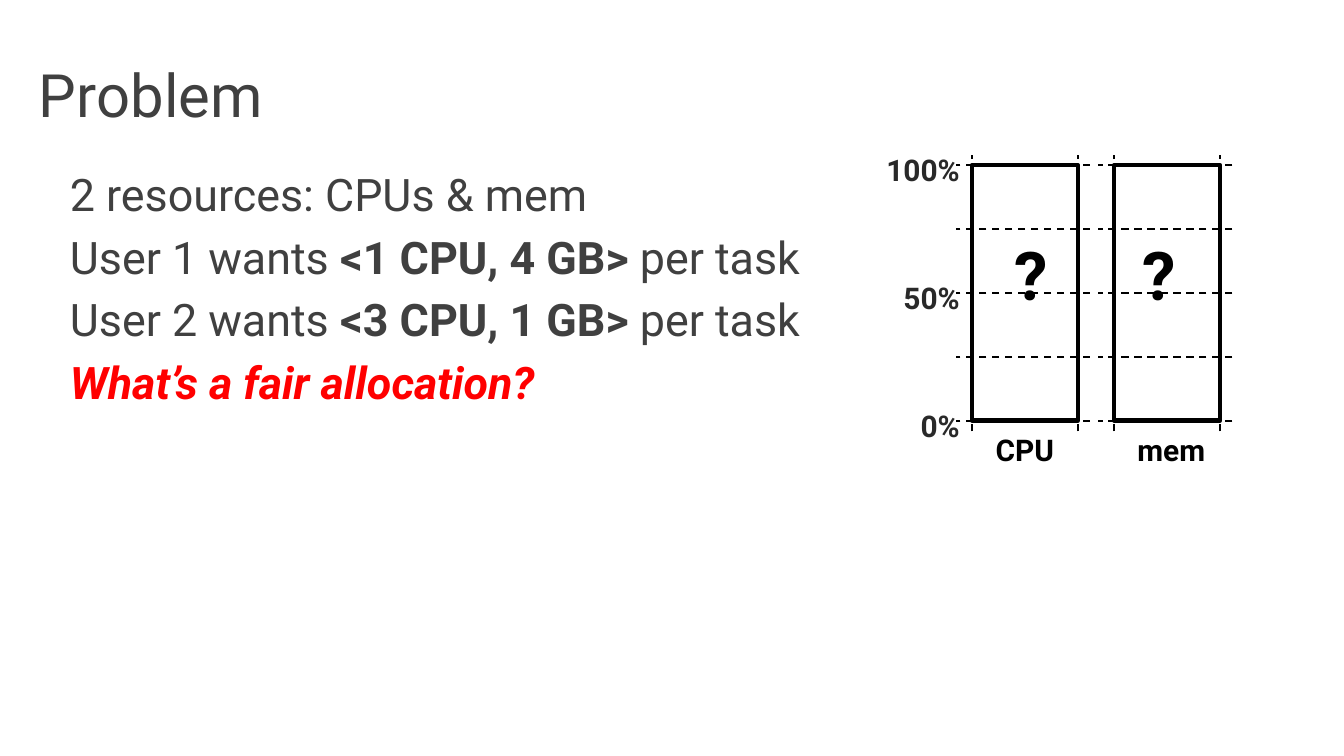
from pptx import Presentation
from pptx import util as u
from pptx.dml.color import RGBColor
from pptx.enum import dml, shapes, text
from pptx.oxml import ns
from lxml import etree

FONT = "Roboto"
BLACK = RGBColor(0x00, 0x00, 0x00)
WHITE = RGBColor(0xFF, 0xFF, 0xFF)
BODY_GREY = RGBColor(0x40, 0x40, 0x40)
LABEL_GREY = RGBColor(0x29, 0x29, 0x29)
RED = RGBColor(0xFF, 0x00, 0x00)

LEFT, CENTER, RIGHT = text.PP_ALIGN.LEFT, text.PP_ALIGN.CENTER, text.PP_ALIGN.RIGHT


def write(paragraph, content, size=16, color=BLACK, bold=False, italic=False, align=LEFT):
    paragraph.alignment = align
    run = paragraph.add_run()
    run.text = content
    font = run.font
    font.name, font.size, font.bold, font.italic = FONT, u.Pt(size), bold, italic
    font.color.rgb = color


def place(part, left, top, width, height):
    part.left, part.top = u.Inches(left), u.Inches(top)
    part.width, part.height = u.Inches(width), u.Inches(height)


def add_label(slide, content, left, top, width, height, **style):
    frame = slide.shapes.add_textbox(
        u.Inches(left), u.Inches(top), u.Inches(width), u.Inches(height)).text_frame
    frame.word_wrap = True
    frame.margin_left = frame.margin_right = frame.margin_top = frame.margin_bottom = 0
    frame.vertical_anchor = text.MSO_ANCHOR.MIDDLE
    write(frame.paragraphs[0], content, bold=True, **style)
    return frame.paragraphs[0]


def add_dashed_line(slide, x1, y1, x2, y2):
    line = slide.shapes.add_connector(
        shapes.MSO_CONNECTOR.STRAIGHT,
        u.Inches(x1), u.Inches(y1), u.Inches(x2), u.Inches(y2))
    line.line.color.rgb = BLACK
    line.line.width = u.Pt(1)
    line.line.dash_style = dml.MSO_LINE.DASH
    etree.SubElement(line._element.spPr, ns.qn("a:effectLst"))


def add_title(slide, content, left, top, width, height):
    title = slide.shapes.title
    place(title, left, top, width, height)
    title.text_frame.vertical_anchor = text.MSO_ANCHOR.MIDDLE
    write(title.text_frame.paragraphs[0], content, size=32, color=BODY_GREY)


def add_statements(slide, statements, left, top, width, height):
    body = slide.placeholders[1]
    place(body, left, top, width, height)
    frame = body.text_frame
    frame.auto_size = text.MSO_AUTO_SIZE.NONE
    for index, statement in enumerate(statements):
        paragraph = frame.add_paragraph() if index else frame.paragraphs[0]
        paragraph.space_before = u.Pt(4.8)
        properties = paragraph._p.get_or_add_pPr()
        properties.set("marL", "0")
        properties.set("indent", "0")
        etree.SubElement(properties, ns.qn("a:buNone"))
        for content, style in statement:
            write(paragraph, content, **{"size": 24, "color": BODY_GREY, **style})


def add_resource_bar(slide, name, left, top, width, height, name_shift):
    overhang, tick = 0.12, 0.08
    right, bottom = left + width, top + height
    add_label(slide, name, left + name_shift, bottom + 0.08, width, 0.27, align=CENTER)
    bar = slide.shapes.add_shape(
        shapes.MSO_SHAPE.RECTANGLE,
        u.Inches(left), u.Inches(top), u.Inches(width), u.Inches(height))
    bar.shadow.inherit = False
    bar.fill.solid()
    bar.fill.fore_color.rgb = WHITE
    bar.line.color.rgb = BLACK
    bar.line.width = u.Pt(2.25)
    for quarter in range(5):
        y = top + height * quarter / 4
        add_dashed_line(slide, right + overhang - 0.03, y, left - overhang, y)
    for x in (left, right):
        add_dashed_line(slide, x, bottom + tick, x, top - tick)


def add_question_marks(slide, left, top, width, height, gap):
    marks = add_label(slide, "?\t?", left, top, width, height, size=36)
    stops = etree.SubElement(marks._p.get_or_add_pPr(), ns.qn("a:tabLst"))
    etree.SubElement(stops, ns.qn("a:tab"), pos=str(u.Inches(gap)), algn="l")


def add_allocation_chart(slide, left, top, height):
    bar_width, bar_step = 0.79, 1.06
    scale_width, label_height = 0.7, 0.27
    bars_left = left + scale_width + 0.05
    for level, percent in enumerate(("100%", "50%", "0%")):
        add_label(slide, percent, left - 0.09, top - 0.1 + level * height / 2,
                  scale_width + 0.05, label_height, color=LABEL_GREY, align=RIGHT)
    for index, (name, shift) in enumerate((("CPU", 0), ("mem", 0.03))):
        add_resource_bar(slide, name, bars_left + index * bar_step, top,
                         bar_width, height, shift)
    add_question_marks(slide, bars_left + 0.32, top + 0.5, 1.4, 0.61, 0.95)


def main():
    deck = Presentation()
    deck.slide_width, deck.slide_height = u.Inches(10), u.Inches(5.625)
    slide = deck.slides.add_slide(deck.slide_layouts[1])
    strong = {"bold": True}
    add_title(slide, "Problem", 0.19, 0.23, 9.68, 0.94)
    add_statements(slide, [
        [("2 resources: CPUs & mem", {})],
        [("User 1 wants ", {}), ("<1 CPU, 4 GB> ", strong), ("per task", {})],
        [("User 2 wants ", {}), ("<3 CPU, 1 GB> ", strong), ("per task", {})],
        [("What’s a fair allocation?", {"color": RED, "bold": True, "italic": True})],
    ], 0.42, 1.19, 6.42, 4)
    add_allocation_chart(slide, 6.48, 1.23, 1.9)
    deck.save("out.pptx")


if __name__ == "__main__":
    main()
